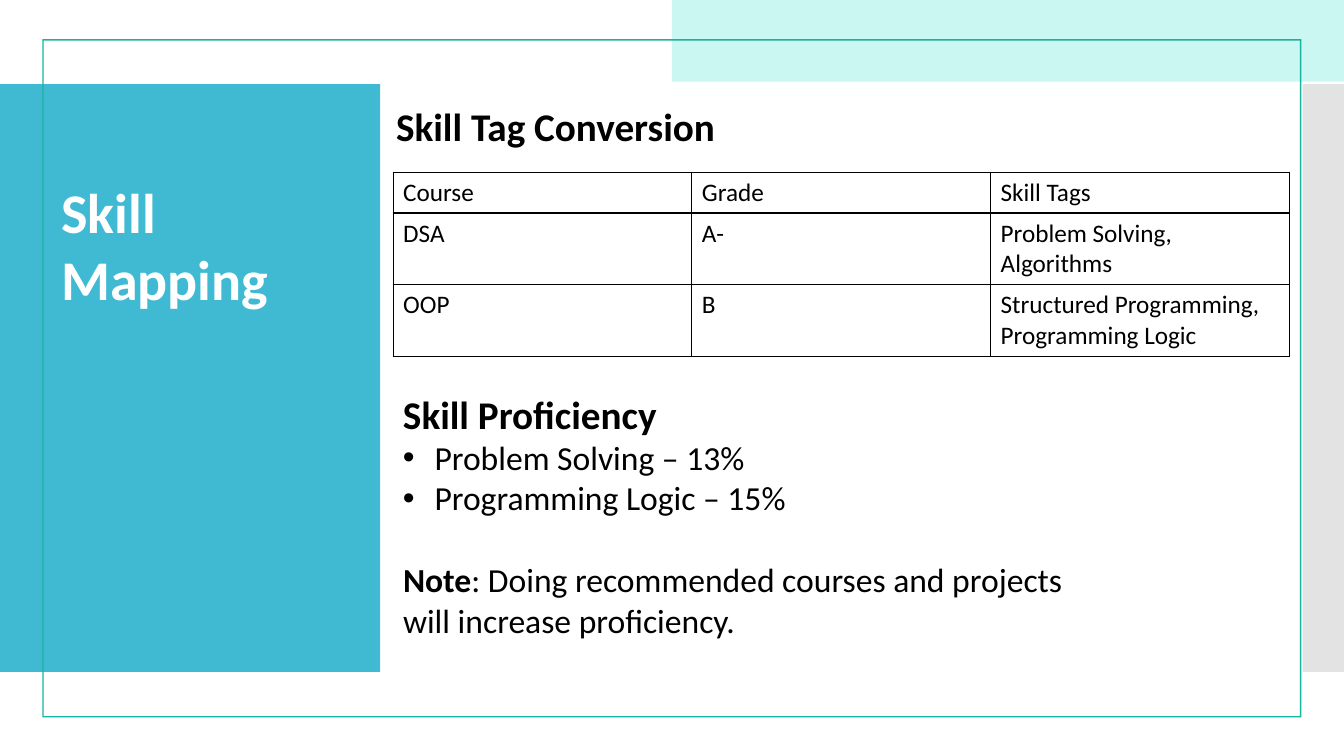
"""Build the Skill Mapping slide."""
from lxml import etree
from pptx import Presentation
from pptx.dml.color import RGBColor
from pptx.enum.shapes import MSO_SHAPE
from pptx.enum.text import MSO_ANCHOR, PP_ALIGN
from pptx.oxml.ns import qn
from pptx.util import Pt

RECT, FRAME = MSO_SHAPE.RECTANGLE, MSO_SHAPE.FRAME
TOP, LEFT = MSO_ANCHOR.TOP, PP_ALIGN.LEFT
FONT, BLACK, WHITE = "Calibri", "000000", "FFFFFF"

TITLE = "Skill Mapping"
PANELS = [
    (RECT, (0, 60, 271.5, 420), "40BAD2"),
    (RECT, (930.5, 60, 29.5, 420), "C8C8C8"),
    (RECT, (480, 0, 480, 58.3), "CAF7F1"),
    (FRAME, (30.3, 28, 899.2, 484.5), "1AB39F"),
]
SKILLS = [
    ["Course", "Grade", "Skill Tags"],
    ["DSA", "A-", "Problem Solving, Algorithms"],
    ["OOP", "B", "Structured Programming,\nProgramming Logic"],
]
TABLE_BOX = (280.8, 123, 640.2, 130.4)
ROW_HEIGHTS = [29.2, 50.6, 50.6]
HEADING = "Skill Tag Conversion"
PROFICIENCY = "Skill Proficiency"
LEVELS = ["Problem Solving – 13%", "Programming Logic – 15%"]
NOTE = ["Note", ": Doing recommended courses and projects will increase proficiency."]


def rgb(value):
    return RGBColor.from_string(value)


def style(r, size, bold=False, color=BLACK):
    r.font.name, r.font.size, r.font.bold = FONT, Pt(size), bold
    r.font.color.rgb = rgb(color)


def add_run(p, text, size, bold=False):
    r = p.add_run()
    r.text = text
    style(r, size, bold)


def add_panel(s, kind, box, color):
    sp = s.shapes.add_shape(kind, *map(Pt, box))
    sp.shadow.inherit = False
    sp.fill.solid()
    sp.fill.fore_color.rgb = rgb(color)
    sp.line.fill.background()
    return sp


def add_text(s, box, wrap=False):
    tf = s.shapes.add_textbox(*map(Pt, box)).text_frame
    tf.word_wrap = wrap
    return tf


def add_bullet(p):
    pPr = p._p.get_or_add_pPr()
    pPr.set("marL", str(Pt(22.5)))
    pPr.set("indent", str(-Pt(22.5)))
    etree.SubElement(pPr, qn("a:buFont")).set("typeface", "Arial")
    etree.SubElement(pPr, qn("a:buChar")).set("char", "•")


def add_borders(cell):
    tcPr = cell._tc.get_or_add_tcPr()
    for side in ("L", "R", "T", "B"):
        ln = etree.SubElement(tcPr, qn("a:ln" + side), w=str(Pt(1)))
        fill = etree.SubElement(ln, qn("a:solidFill"))
        etree.SubElement(fill, qn("a:srgbClr"), val=BLACK)


def add_skill_table(s):
    shape = s.shapes.add_table(len(SKILLS), len(SKILLS[0]), *map(Pt, TABLE_BOX))
    table = shape.table
    table.first_row = table.horz_banding = False
    for row, height, values in zip(table.rows, ROW_HEIGHTS, SKILLS):
        row.height = Pt(height)
        for cell, value in zip(row.cells, values):
            cell.text_frame.text = value
            for p in cell.text_frame.paragraphs:
                style(p.runs[0], 18)
            add_borders(cell)
            cell.fill.background()


def add_title(s):
    title = s.shapes.title
    title.left, title.top, title.width, title.height = map(Pt, (36.7, 123, 224.6, 104.4))
    tf = title.text_frame
    tf.text = TITLE
    tf.word_wrap, tf.vertical_anchor = True, TOP
    p = tf.paragraphs[0]
    p.alignment = LEFT
    style(p.runs[0], 40, True, WHITE)
    s.shapes._spTree.append(title._element)


def main():
    prs = Presentation()
    prs.slide_width, prs.slide_height = Pt(960), Pt(540)
    s = prs.slides.add_slide(prs.slide_layouts[5])

    panels = [add_panel(s, *panel) for panel in PANELS]
    gray, frame = panels[1], panels[3]
    color = gray.fill._xPr.find(qn("a:solidFill"))[0]
    etree.SubElement(color, qn("a:alpha"), val="50000")
    frame.adjustments[0] = 0.002

    add_title(s)
    add_skill_table(s)

    tf = add_text(s, (275.8, 69.8, 262, 41.2))
    add_run(tf.paragraphs[0], HEADING, 28, True)

    tf = add_text(s, (280.8, 275, 299.5, 99.4))
    add_run(tf.paragraphs[0], PROFICIENCY, 28, True)
    for level in LEVELS:
        p = tf.add_paragraph()
        add_bullet(p)
        add_run(p, level, 24)

    tf = add_text(s, (280.8, 396, 514, 65.5), wrap=True)
    for text, bold in zip(NOTE, (True, False)):
        add_run(tf.paragraphs[0], text, 24, bold)

    prs.save("out.pptx")


if __name__ == "__main__":
    main()
